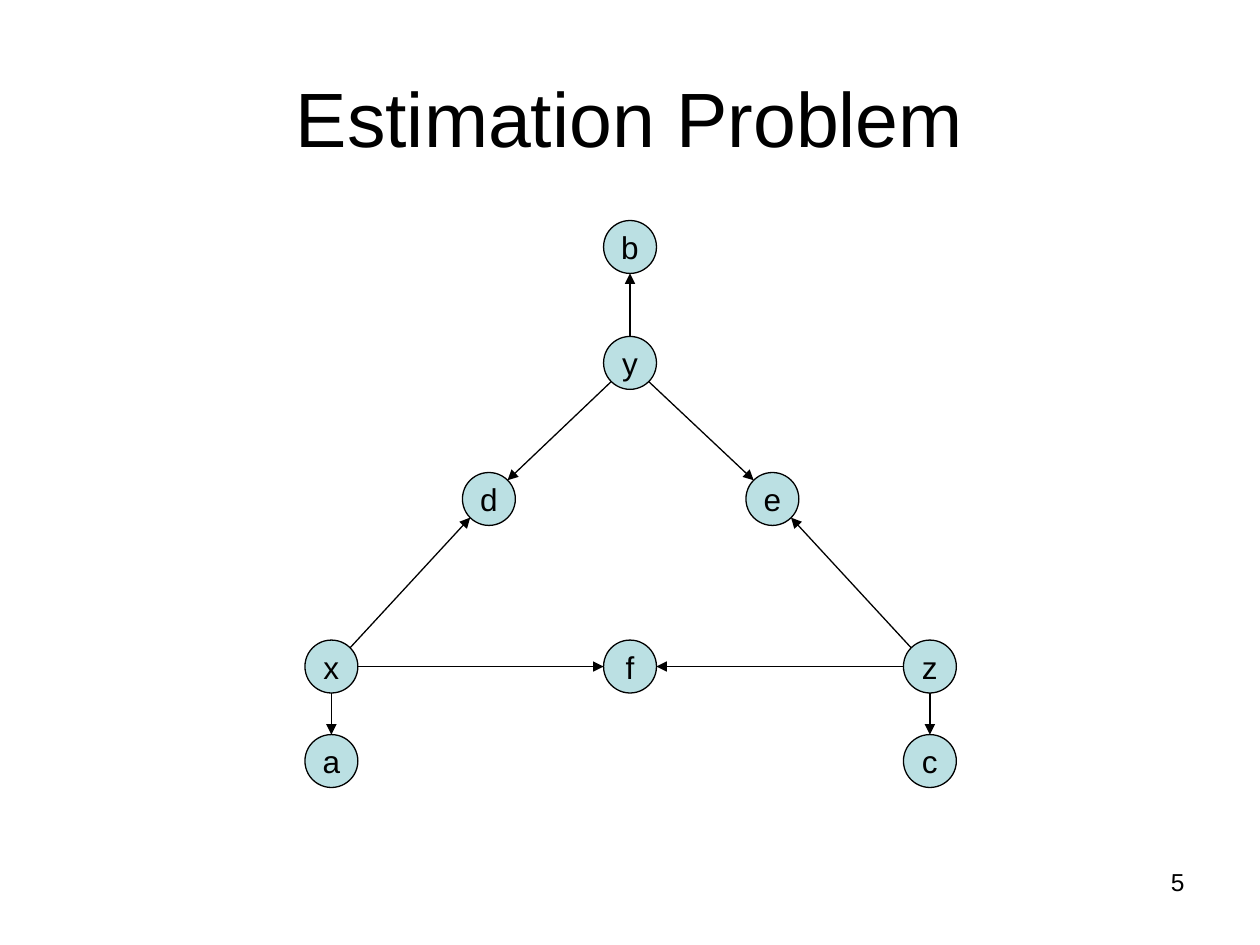
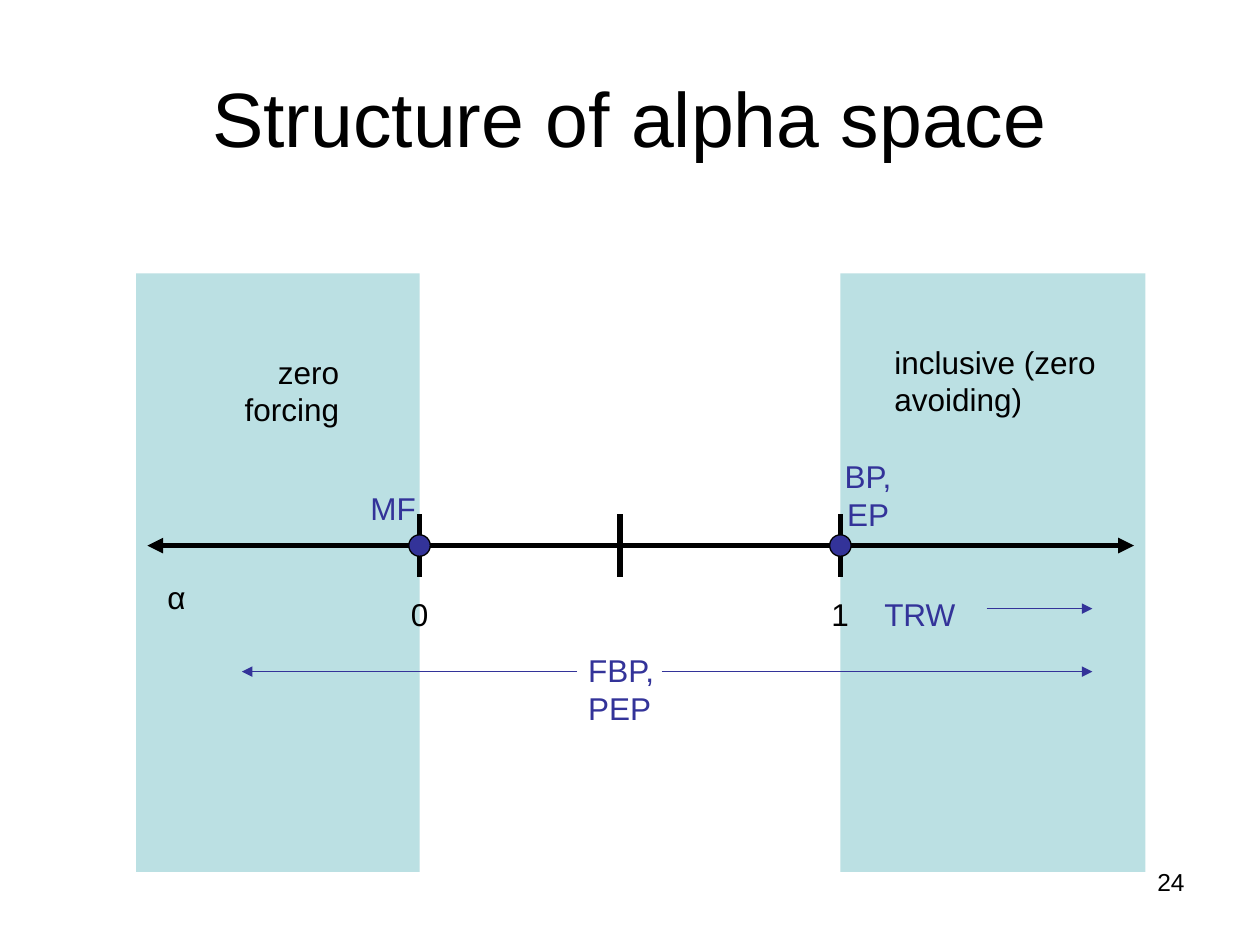
from math import hypot

from lxml import etree
from pptx import Presentation
from pptx.dml.color import RGBColor
from pptx.enum.shapes import MSO_CONNECTOR, MSO_SHAPE
from pptx.enum.text import MSO_ANCHOR, PP_ALIGN
from pptx.oxml.ns import qn
from pptx.util import Inches, Pt

# Shared style
FONT = "Arial"
BLACK, TEAL, INDIGO = "000000", "BBE0E3", "333399"
LEFT, CENTER, RIGHT = PP_ALIGN.LEFT, PP_ALIGN.CENTER, PP_ALIGN.RIGHT
THIN, THICK = 0.75, 3

# Estimation graph: node centres and directed edges
NODE_SIZE = 0.42
NODES = {
    "x": (2.63, 5.29), "y": (5, 2.88), "z": (7.38, 5.29),
    "a": (2.63, 6.04), "b": (5, 1.96), "c": (7.38, 6.04),
    "d": (3.88, 3.96), "f": (5, 5.29), "e": (6.13, 3.96),
}
EDGES = ["xa", "yb", "zc", "xd", "yd", "ye", "ze", "zf", "xf"]

# Alpha axis
AXIS_Y = 4.33
ZERO_X, MIDDLE_X, ONE_X = 3.33, 4.92, 6.67
BAND_TOP, BAND_HEIGHT = 2.17, 4.75
BANDS = [(1.08, 2.25), (ONE_X, 2.42)]  # left, width
TICK_HALF, DOT_SIZE = 0.25, 0.17
LABELS = [  # text, left, top, width, alignment, colour
    ("α", 1.23, 4.54, 0.36, LEFT, BLACK),
    ("0", 3.16, 4.67, 0.34, CENTER, BLACK),
    ("1", 6.5, 4.67, 0.34, LEFT, BLACK),
    ("zero\nforcing", 1.84, 2.75, 0.95, RIGHT, BLACK),
    ("inclusive (zero\navoiding)", 7, 2.67, 1.8, LEFT, BLACK),
    ("MF", 2.84, 3.83, 0.56, CENTER, INDIGO),
    ("BP,\nEP", 6.59, 3.58, 0.6, CENTER, INDIGO),
    ("FBP,\nPEP", 4.57, 5.12, 0.75, LEFT, INDIGO),
    ("TRW", 6.92, 4.67, 0.77, LEFT, INDIGO),
]
RANGES = [  # start x, end x, y
    (5.25, 8.67, 5.33),
    (4.58, 1.92, 5.33),
    (7.83, 8.67, 4.83),
]


def color(value):
    return RGBColor.from_string(value)


def write(shape, text, size, align, text_color=BLACK, wrap=False,
          anchor=MSO_ANCHOR.TOP):
    frame = shape.text_frame
    frame.text = text
    frame.word_wrap = wrap
    frame.vertical_anchor = anchor
    for para in frame.paragraphs:
        para.alignment = align
        for span in para.runs:
            span.font.name = FONT
            span.font.size = Pt(size)
            span.font.color.rgb = color(text_color)


def add_text(page, text, left, top, width, height, *style, **options):
    box = page.shapes.add_textbox(
        Inches(left), Inches(top), Inches(width), Inches(height))
    write(box, text, *style, **options)


def add_shape(page, kind, left, top, width, height, fill, outline=None):
    shape = page.shapes.add_shape(
        kind, Inches(left), Inches(top), Inches(width), Inches(height))
    shape.shadow.inherit = False
    shape.fill.solid()
    shape.fill.fore_color.rgb = color(fill)
    if outline:
        shape.line.color.rgb = color(outline)
        shape.line.width = Pt(THIN)
    else:
        shape.line.fill.background()
    return shape


def add_circle(page, center, size, fill):
    x, y = center
    return add_shape(page, MSO_SHAPE.OVAL, x - size / 2, y - size / 2,
                     size, size, fill, BLACK)


def add_line(page, start, end, line_color=BLACK, width=THIN, arrows=()):
    line = page.shapes.add_connector(
        MSO_CONNECTOR.STRAIGHT, *map(Inches, (*start, *end)))
    line.line.color.rgb = color(line_color)
    line.line.width = Pt(width)
    properties = line.element.spPr
    outline = properties.find(qn("a:ln"))
    for arrow in arrows:
        etree.SubElement(outline, qn(f"a:{arrow}"), type="triangle")
    etree.SubElement(properties, qn("a:effectLst"))


def rim_point(center, target):
    """Point on a node's rim, in the nearest of the straight or diagonal directions."""
    steps = [(b > a) - (b < a) for a, b in zip(center, target)]
    reach = NODE_SIZE / 2 / hypot(*steps)
    return [a + step * reach for a, step in zip(center, steps)]


def add_page(deck, title, number):
    page = deck.slides.add_slide(deck.slide_layouts[6])
    add_text(page, title, 0.5, 0.3, 9, 1.25, 44, CENTER,
             wrap=True, anchor=MSO_ANCHOR.MIDDLE)
    add_text(page, str(number), 7.17, 6.83, 2.33, 0.52, 14, RIGHT, wrap=True)
    return page


def build_estimation(deck):
    page = add_page(deck, "Estimation Problem", 5)
    for name, center in NODES.items():
        node = add_circle(page, center, NODE_SIZE, TEAL)
        write(node, name, 18, CENTER, anchor=MSO_ANCHOR.MIDDLE)
    for source, target in EDGES:
        start, end = NODES[source], NODES[target]
        add_line(page, rim_point(start, end), rim_point(end, start),
                 arrows=["tailEnd"])


def build_alpha_space(deck):
    page = add_page(deck, "Structure of alpha space", 24)
    for left, width in BANDS:
        add_shape(page, MSO_SHAPE.RECTANGLE, left, BAND_TOP,
                  width, BAND_HEIGHT, TEAL)

    # Axis with ticks and end points
    add_line(page, (1.17, AXIS_Y), (9, AXIS_Y), width=THICK,
             arrows=["headEnd", "tailEnd"])
    for x in (ZERO_X, MIDDLE_X, ONE_X):
        add_line(page, (x, AXIS_Y - TICK_HALF), (x, AXIS_Y + TICK_HALF),
                 width=THICK)
    for x in (ZERO_X, ONE_X):
        add_circle(page, (x, AXIS_Y), DOT_SIZE, INDIGO)

    # Labels and algorithm ranges
    for text, left, top, width, align, text_color in LABELS:
        height = 0.4 + 0.3 * text.count("\n")
        add_text(page, text, left, top, width, height, 18, align, text_color)
    for start, end, y in RANGES:
        add_line(page, (start, y), (end, y), INDIGO, arrows=["tailEnd"])


def main():
    deck = Presentation()
    deck.slide_width, deck.slide_height = Inches(10), Inches(7.5)
    build_estimation(deck)
    build_alpha_space(deck)
    deck.save("out.pptx")


if __name__ == "__main__":
    main()
